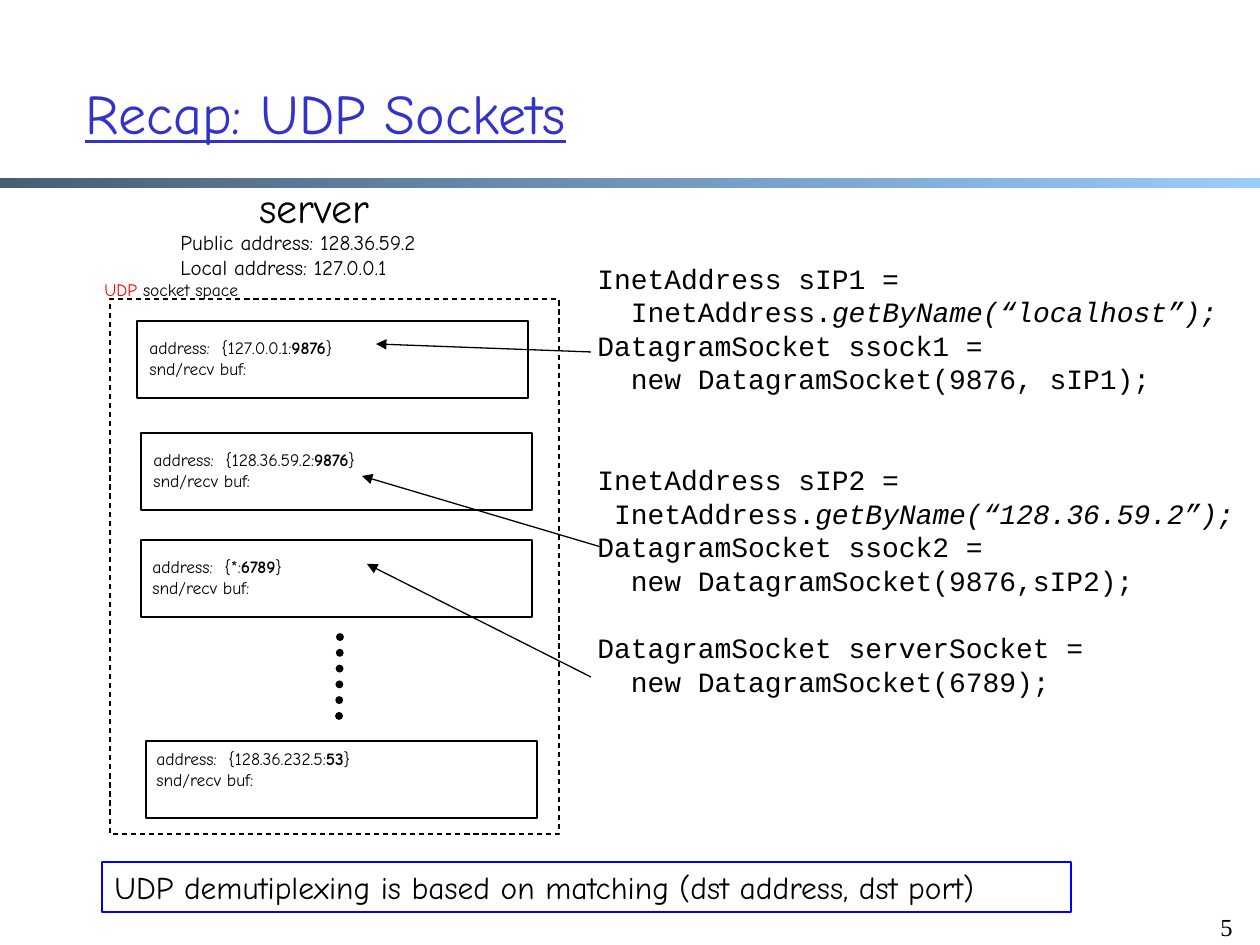
"""Build the slide that recaps how UDP sockets are matched to addresses."""
from dataclasses import dataclass
from typing import NamedTuple

from lxml import etree
from pptx import Presentation
from pptx.dml.color import RGBColor
from pptx.enum.dml import MSO_LINE
from pptx.enum.shapes import MSO_CONNECTOR, MSO_SHAPE
from pptx.enum.text import MSO_ANCHOR, PP_ALIGN
from pptx.oxml.ns import qn
from pptx.util import Emu, Pt

RECT = MSO_SHAPE.RECTANGLE
LINE = MSO_CONNECTOR.STRAIGHT
DASH, DOTS = MSO_LINE.DASH, MSO_LINE.ROUND_DOT
TOP, MID = MSO_ANCHOR.TOP, MSO_ANCHOR.MIDDLE
LEFT, RIGHT = PP_ALIGN.LEFT, PP_ALIGN.RIGHT
HAND, CODE, SERIF = "Comic Neue", "Courier New", "Times New Roman"
HUES = {"black": "000000", "title": "3333CC", "red": "FF0000",
        "frame": "0000FF", "dark": "475E76", "light": "99CCFF"}
SCALE = 914400 / 126
LEAD = 1.2


class Run(NamedTuple):
    words: str
    bold: bool = False
    slant: bool = False
    hue: str = ""


class Row(NamedTuple):
    runs: list[Run]
    skip: int = 0


@dataclass
class Box:
    x: int
    y: int
    w: int
    h: int


@dataclass
class Socket:
    box: Box
    label: Box
    host: str
    port: str


@dataclass
class Arrow:
    x1: int
    y1: int
    x2: int
    y2: int


SOCKETS = [
    Socket(Box(137, 321, 391, 77), Box(137, 331, 241, 55), "127.0.0.1", "9876"),
    Socket(Box(141, 433, 391, 77), Box(141, 443, 265, 55), "128.36.59.2", "9876"),
    Socket(Box(141, 540, 391, 77), Box(140, 550, 178, 55), "*", "6789"),
    Socket(Box(146, 741, 391, 77), Box(144, 742, 252, 54), "128.36.232.5", "53"),
]
ARROWS = [Arrow(376, 344, 591, 352), Arrow(362, 476, 601, 547),
          Arrow(367, 564, 591, 677)]
LISTING = [
    Row([Run("InetAddress sIP1 =")]),
    Row([Run("  InetAddress."), Run("getByName(“localhost”);", slant=True)]),
    Row([Run("DatagramSocket ssock1 =")]),
    Row([Run("  new DatagramSocket(9876, sIP1);")]),
    Row([Run("InetAddress sIP2 =")], skip=2),
    Row([Run(" InetAddress."), Run("getByName(“128.36.59.2”);", slant=True)]),
    Row([Run("DatagramSocket ssock2 =")]),
    Row([Run("  new DatagramSocket(9876,sIP2);")]),
    Row([Run("DatagramSocket serverSocket =")], skip=1),
    Row([Run("  new DatagramSocket(6789);")]),
]


def emu(px: int) -> Emu:
    """Turn px into EMU."""
    return Emu(round(px * SCALE))


def place(box: Box) -> list[Emu]:
    """Give the four lengths of a box in EMU."""
    return [emu(n) for n in (box.x, box.y, box.w, box.h)]


def color(name: str) -> RGBColor:
    """Look up a colour by name."""
    return RGBColor.from_string(HUES[name])


def plain(*words: str) -> list[Row]:
    """Make one unformatted row per string."""
    return [Row([Run(word)]) for word in words]


def stroke(line, hue: str = "black", width: float = 0.75, dash=None) -> None:
    """Style an outline or a line."""
    line.color.rgb = color(hue)
    line.width = Pt(width)
    if dash is not None:
        line.dash_style = dash


def text(slide, box: Box, rows: list[Row], *, size: int, font: str = HAND,
         hue: str = "black", under: bool = False, align=LEFT, anchor=TOP,
         wrap: bool = False):
    """Add a text box with formatted rows."""
    shape = slide.shapes.add_textbox(*place(box))
    frame = shape.text_frame
    frame.word_wrap = wrap
    frame.vertical_anchor = anchor
    for i, row in enumerate(rows):
        para = frame.paragraphs[0] if i == 0 else frame.add_paragraph()
        para.alignment = align
        if len(rows) > 1:
            para.line_spacing = Pt(size * LEAD)
        if row.skip:
            para.space_before = Pt(row.skip * size * LEAD)
        for part in row.runs:
            run = para.add_run()
            run.text = part.words
            face = run.font
            face.name, face.size = font, Pt(size)
            face.bold, face.italic, face.underline = part.bold, part.slant, under
            face.color.rgb = color(part.hue or hue)
    return shape


def rect(slide, box: Box, dash=None) -> None:
    """Add an unfilled rectangle with a black outline."""
    shape = slide.shapes.add_shape(RECT, *place(box))
    shape.shadow.inherit = False
    shape.fill.background()
    stroke(shape.line, dash=dash)


def band(slide, box: Box) -> None:
    """Add the bar that fades from dark to light."""
    shape = slide.shapes.add_shape(RECT, *place(box))
    shape.shadow.inherit = False
    shape.line.fill.background()
    shape.fill.gradient()
    shape.fill.gradient_angle = 0
    for stop, hue in zip(shape.fill.gradient_stops, ("dark", "light")):
        stop.color.rgb = color(hue)


def link(slide, path: Arrow, width: float = 0.75, dash=None):
    """Add a straight line without a shadow and return its line element."""
    ends = [emu(n) for n in (path.x1, path.y1, path.x2, path.y2)]
    line = slide.shapes.add_connector(LINE, *ends)
    stroke(line.line, width=width, dash=dash)
    etree.SubElement(line._element.spPr, qn("a:effectLst"))
    return line.line._get_or_add_ln()


def socket(slide, item: Socket) -> None:
    """Draw a socket with its address and buffer label."""
    rect(slide, item.box)
    rows = [Row([Run("address:  {" + item.host + ":"),
                 Run(item.port, bold=True), Run("}")]),
            *plain("snd/recv buf:")]
    text(slide, item.label, rows, size=10)


def main() -> None:
    """Draw and save the slide."""
    deck = Presentation()
    deck.slide_width, deck.slide_height = emu(1260), emu(945)
    slide = deck.slides.add_slide(deck.slide_layouts[6])
    band(slide, Box(0, 178, 1260, 10))
    text(slide, Box(1182, 906, 63, 63), plain("5"), size=14, font=SERIF,
         align=RIGHT, wrap=True)
    text(slide, Box(73, 33, 1139, 158), plain("Recap: UDP Sockets"), size=32,
         hue="title", under=True, anchor=MID, wrap=True)
    text(slide, Box(247, 175, 152, 63), plain("server"), size=24, anchor=MID)
    rect(slide, Box(110, 299, 449, 535), dash=DASH)
    text(slide, Box(92, 273, 170, 34),
         [Row([Run("UDP", hue="red"), Run(" socket space")])], size=10)
    text(slide, Box(168, 223, 296, 64),
         plain("Public address: 128.36.59.2", "Local address: 127.0.0.1"), size=12)
    for item in SOCKETS:
        socket(slide, item)
    link(slide, Arrow(340, 637, 339, 722), 4.5, DOTS).set("cap", "rnd")
    text(slide, Box(585, 255, 675, 454), LISTING, size=16, font=CODE, wrap=True)
    for path in ARROWS:
        etree.SubElement(link(slide, path), qn("a:headEnd"), type="triangle")
    note = text(slide, Box(102, 862, 969, 50), plain(
        "UDP demutiplexing is based on matching (dst address, dst port)"), size=18)
    stroke(note.line, "frame")
    deck.save("out.pptx")


if __name__ == "__main__":
    main()
